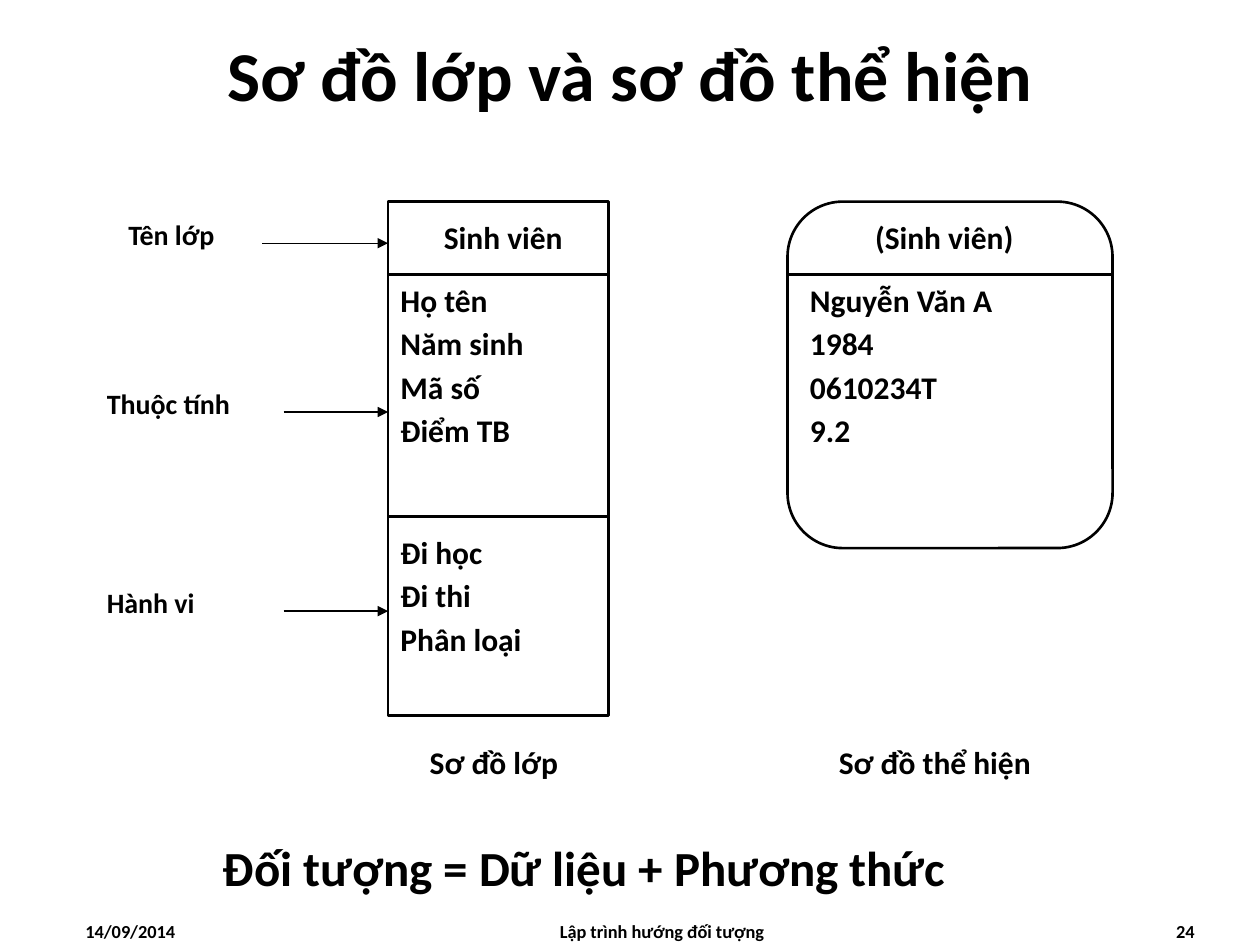
from dataclasses import dataclass

from lxml.etree import SubElement
from pptx import Presentation
from pptx.dml.color import RGBColor
from pptx.enum.shapes import MSO_CONNECTOR, MSO_SHAPE
from pptx.enum.text import MSO_ANCHOR, PP_ALIGN
from pptx.oxml.ns import qn
from pptx.util import Inches, Pt


@dataclass(frozen=True)
class Theme:
    font: str = "Calibri"
    ink: RGBColor = RGBColor(0, 0, 0)
    title: float = 40
    formula: float = 28
    body: float = 18
    label: float = 16
    footer: float = 10.5
    outline: float = 1.5
    arrow: float = 0.75
    line_gap: float = 3.2


THEME = Theme()

TITLE = "Sơ đồ lớp và sơ đồ thể hiện"
FORMULA = "Đối tượng = Dữ liệu + Phương thức"

# Class diagram compartments: lines, height, text inset from the top, alignment
CLASS_PARTS = [
    (["Sinh viên"], 0.58, 0.08, PP_ALIGN.CENTER),
    (["Họ tên", "Năm sinh", "Mã số", "Điểm TB"], 1.92, 0, PP_ALIGN.LEFT),
    (["Đi học", "Đi thi", "Phân loại"], 1.58, 0.08, PP_ALIGN.LEFT),
]
OBJECT_NAME = "(Sinh viên)"
OBJECT_VALUES = ["Nguyễn Văn A", "1984", "0610234T", "9.2"]

# Label, left, width, arrow start, arrow height
PART_LABELS = [
    ("Tên lớp", 0.92, 1.17, 2.08, 1.93),
    ("Thuộc tính", 0.75, 1.83, 2.25, 3.27),
    ("Hành vi", 0.75, 1.5, 2.25, 4.85),
]
CAPTIONS = [("Sơ đồ lớp", 2.67), ("Sơ đồ thể hiện", 6.17)]
FOOTERS = [
    ("14/09/2014", 0.58, 2.33, PP_ALIGN.LEFT),
    ("Lập trình hướng đối tượng", 3.67, 3.17, PP_ALIGN.CENTER),
    ("24", 7.25, 2.33, PP_ALIGN.RIGHT),
]

DIAGRAM_TOP = 1.6
CLASS_LEFT, CLASS_WIDTH, CLASS_TEXT_WIDTH = 3.08, 1.75, 1.83
OBJECT_LEFT, OBJECT_WIDTH, OBJECT_HEIGHT = 6.25, 2.58, 2.75
OBJECT_TEXT_LEFT = 6.33
NAME_HEIGHT = CLASS_PARTS[0][1]


def add_text(slide, lines, left, top, width, height, size=THEME.body,
             align=PP_ALIGN.LEFT, anchor=MSO_ANCHOR.TOP, wrap=True):
    box = slide.shapes.add_textbox(*map(Inches, (left, top, width, height)))
    frame = box.text_frame
    frame.word_wrap = wrap
    frame.vertical_anchor = anchor
    for index, line in enumerate(lines):
        paragraph = frame.add_paragraph() if index else frame.paragraphs[0]
        paragraph.alignment = align
        if index:
            paragraph.space_before = Pt(THEME.line_gap)
        run = paragraph.add_run()
        run.text = line
        run.font.name = THEME.font
        run.font.size = Pt(size)
        run.font.bold = True
        run.font.color.rgb = THEME.ink


def add_outline(slide, preset, left, top, width, height):
    shape = slide.shapes.add_shape(preset, *map(Inches, (left, top, width, height)))
    shape.shadow.inherit = False
    shape.fill.background()
    shape.line.color.rgb = THEME.ink
    shape.line.width = Pt(THEME.outline)
    return shape


def add_horizontal(slide, start, end, y, weight, arrow=False):
    line = slide.shapes.add_connector(
        MSO_CONNECTOR.STRAIGHT, *map(Inches, (start, y, end, y)))
    line.line.color.rgb = THEME.ink
    line.line.width = Pt(weight)
    if arrow:
        SubElement(line.line._get_or_add_ln(), qn("a:tailEnd"), type="triangle")
    SubElement(line._element.spPr, qn("a:effectLst"))


def add_class_diagram(slide):
    top = DIAGRAM_TOP
    for lines, height, inset, align in CLASS_PARTS:
        add_text(slide, lines, CLASS_LEFT, top + inset, CLASS_TEXT_WIDTH,
                 0.05 + 0.36 * len(lines), align=align)
        add_outline(slide, MSO_SHAPE.RECTANGLE, CLASS_LEFT, top, CLASS_WIDTH, height)
        top += height
    for label, left, width, start, y in PART_LABELS:
        add_horizontal(slide, start, CLASS_LEFT, y, THEME.arrow, arrow=True)
        add_text(slide, [label], left, y - 0.25, width, 0.37, size=THEME.label)


def add_object_diagram(slide):
    divider = DIAGRAM_TOP + NAME_HEIGHT
    add_text(slide, [OBJECT_NAME], OBJECT_TEXT_LEFT, DIAGRAM_TOP + 0.08, 2.33, 0.4,
             align=PP_ALIGN.CENTER)
    add_text(slide, OBJECT_VALUES, OBJECT_TEXT_LEFT, divider, 2.5, 1.49)
    frame = add_outline(slide, MSO_SHAPE.ROUNDED_RECTANGLE, OBJECT_LEFT, DIAGRAM_TOP,
                        OBJECT_WIDTH, OBJECT_HEIGHT)
    frame.adjustments[0] = 0.17
    add_horizontal(slide, OBJECT_LEFT, OBJECT_LEFT + OBJECT_WIDTH, divider, THEME.outline)


def main():
    deck = Presentation()
    deck.slide_width, deck.slide_height = Inches(10), Inches(7.5)
    slide = deck.slides.add_slide(deck.slide_layouts[6])

    add_text(slide, [TITLE], 0, 0, 10, 1.17, size=THEME.title,
             align=PP_ALIGN.CENTER, anchor=MSO_ANCHOR.MIDDLE)
    for footer, left, width, align in FOOTERS:
        add_text(slide, [footer], left, 7.25, width, 0.25, size=THEME.footer, align=align)
    add_class_diagram(slide)
    add_object_diagram(slide)
    for caption, left in CAPTIONS:
        add_text(slide, [caption], left, 5.85, 2.5, 0.4, align=PP_ALIGN.CENTER)
    add_text(slide, [FORMULA], 1.67, 6.6, 6, 0.57, size=THEME.formula, wrap=False)

    deck.save("out.pptx")


if __name__ == "__main__":
    main()
